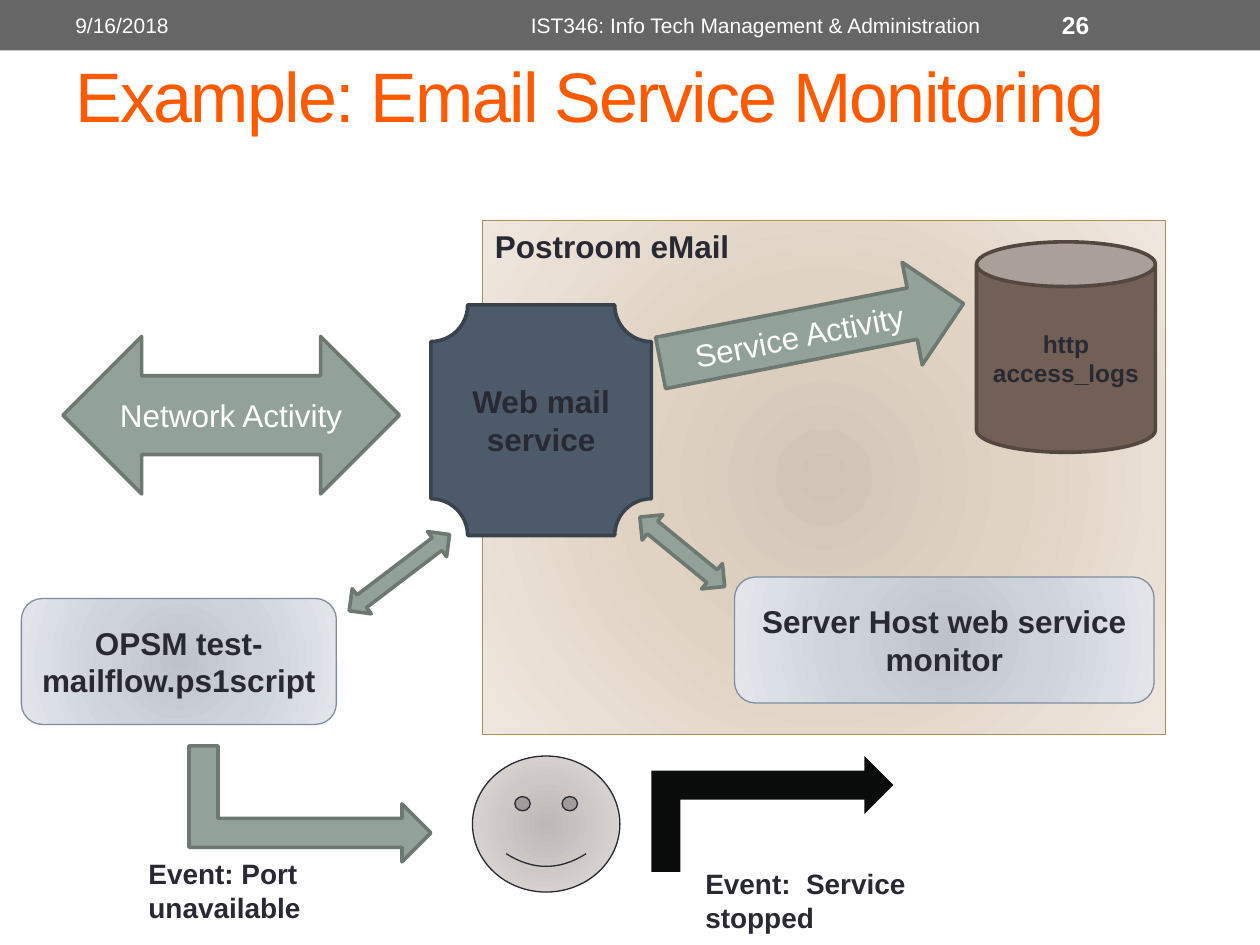
from lxml import etree
from pptx import Presentation
from pptx.dml.color import RGBColor
from pptx.enum.shapes import MSO_SHAPE as Shape
from pptx.enum.text import MSO_ANCHOR as Anchor, PP_ALIGN as Align
from pptx.oxml.ns import qn
from pptx.util import Inches, Pt

INK, WHITE, ORANGE, GREY = "292934", "FFFFFF", "FF5A00", "666666"
SAND = ("D1C4B6", "E1D3C4", "EFE7DF")
MIST = ("BEC3CB", "CDD2DB", "E3E6EB")
STONE = ("BDB8B6", "CDC7C5", "E4E1DF")
STOPS = (0, 45, 100)

STYLES = {
    "bar": (GREY, None, 0),
    "server": (SAND, "AD8F67", 0.75),
    "service": ("4C5A6A", "38434E", 2.08),
    "logs": ("726056", "544740", 2.08),
    "arrow": ("93A299", "6D7871", 2.08),
    "dark arrow": ("0A0C0B", None, 0),
    "monitor": (MIST, "808DA0", 0.75),
    "face": (STONE, INK, 0.75),
}

BACKDROP = [
    (Shape.RECTANGLE, "bar", (0, 0, 10, 0.4), 0, "", 0),
    (Shape.RECTANGLE, "server", (3.83, 1.75, 5.42, 4.08), 0, "", 0),
]
DIAGRAM = [
    (Shape.PLAQUE, "service", (3.42, 2.42, 1.75, 1.83), 0, "Web mail service", 18),
    (Shape.CAN, "logs", (7.75, 1.92, 1.42, 1.67), 0, "http\naccess_logs", 14),
    (Shape.LEFT_RIGHT_ARROW, "arrow", (0.5, 2.67, 2.67, 1.25), 0, "Network Activity", 18),
    (Shape.RIGHT_ARROW, "arrow", (5.22, 2.23, 2.45, 0.83), 348.9, "Service Activity", 18),
    (Shape.FLOWCHART_ALTERNATE_PROCESS, "monitor", (0.17, 4.75, 2.5, 1), 0,
     "OPSM test-mailflow.ps1script", 18),
    (Shape.FLOWCHART_ALTERNATE_PROCESS, "monitor", (5.83, 4.58, 3.33, 1), 0,
     "Server Host web service monitor", 18),
    (Shape.LEFT_RIGHT_ARROW, "arrow", (4.98, 4.25, 0.87, 0.26), 39.3, "", 0),
    (Shape.LEFT_RIGHT_ARROW, "arrow", (2.67, 4.42, 1, 0.25), 322.8, "", 0),
    (Shape.SMILEY_FACE, "face", (3.75, 6, 1.17, 1.08), 0, "", 0),
    (Shape.BENT_UP_ARROW, "arrow", (2, 5.42, 0.92, 1.92), 90, "", 0),
    (Shape.BENT_UP_ARROW, "dark arrow", (5.67, 5.5, 0.92, 1.92), 90, "", 0),
]
LABELS = [
    ("Example: Email Service Monitoring", (0.5, 0.25, 9.25, 1), 40, ORANGE, False,
     Align.LEFT, Anchor.MIDDLE),
    ("Postroom eMail", (3.83, 1.75, 2.1, 0.4), 18, INK, True, Align.LEFT, Anchor.TOP),
    ("Event:  Service stopped", (5.5, 6.83, 2.67, 0.37), 16, INK, True, Align.LEFT, Anchor.TOP),
    ("Event: Port unavailable", (1.08, 6.75, 2.59, 0.37), 16, INK, True, Align.LEFT, Anchor.TOP),
    ("9/16/2018", (0.5, 0.02, 3.17, 0.36), 12, WHITE, False, Align.LEFT, Anchor.MIDDLE),
    ("IST346: Info Tech Management & Administration", (3.75, 0.02, 4.5, 0.36), 12, WHITE, False,
     Align.CENTER, Anchor.MIDDLE),
    ("26", (8.33, 0.02, 1.17, 0.36), 14, WHITE, True, Align.LEFT, Anchor.MIDDLE),
]


def color(value):
    return RGBColor.from_string(value)


def write(shape, text, size, ink, bold, align, anchor):
    frame = shape.text_frame
    frame.word_wrap = True
    frame.vertical_anchor = anchor
    frame.text = text
    for para in frame.paragraphs:
        para.alignment = align
        for span in para.runs:
            span.font.name = "Arial"
            span.font.size = Pt(size)
            span.font.bold = bold
            span.font.color.rgb = color(ink)


def fill_radial(shape, colors):
    properties = shape.element.spPr
    gradient = etree.Element(qn("a:gradFill"), rotWithShape="1")
    stops = etree.SubElement(gradient, qn("a:gsLst"))
    for position, value in zip(STOPS, colors):
        stop = etree.SubElement(stops, qn("a:gs"), pos=str(position * 1000))
        etree.SubElement(stop, qn("a:srgbClr"), val=value)
    circle = etree.SubElement(gradient, qn("a:path"), path="circle")
    etree.SubElement(circle, qn("a:fillToRect"), {side: "100000" for side in "ltrb"})
    properties.find(qn("a:prstGeom")).addnext(gradient)


def draw(page, kind, style, place, angle, text, size):
    fill, line, width = STYLES[style]
    shape = page.shapes.add_shape(kind, *map(Inches, place))
    shape.shadow.inherit = False
    shape.rotation = angle
    if isinstance(fill, tuple):
        fill_radial(shape, fill)
    else:
        shape.fill.solid()
        shape.fill.fore_color.rgb = color(fill)
    if line:
        shape.line.color.rgb = color(line)
        shape.line.width = Pt(width)
    else:
        shape.line.fill.background()
    if style == "dark arrow":
        shape.element.spPr.find(qn("a:xfrm")).set("flipH", "1")
    if text:
        on_arrow = style == "arrow"
        write(shape, text, size, WHITE if on_arrow else INK, not on_arrow,
              Align.CENTER, Anchor.MIDDLE)


def label(page, text, place, *look):
    box = page.shapes.add_textbox(*map(Inches, place))
    write(box, text, *look)
    return box


def main():
    deck = Presentation()
    deck.slide_width, deck.slide_height = Inches(10), Inches(7.5)
    page = deck.slides.add_slide(deck.slide_layouts[6])
    for item in BACKDROP:
        draw(page, *item)
    title, *_ = [label(page, *item) for item in LABELS]
    title.text_frame.paragraphs[0].runs[0].font._element.set("spc", "-100")
    for item in DIAGRAM:
        draw(page, *item)
    deck.save("out.pptx")


if __name__ == "__main__":
    main()
